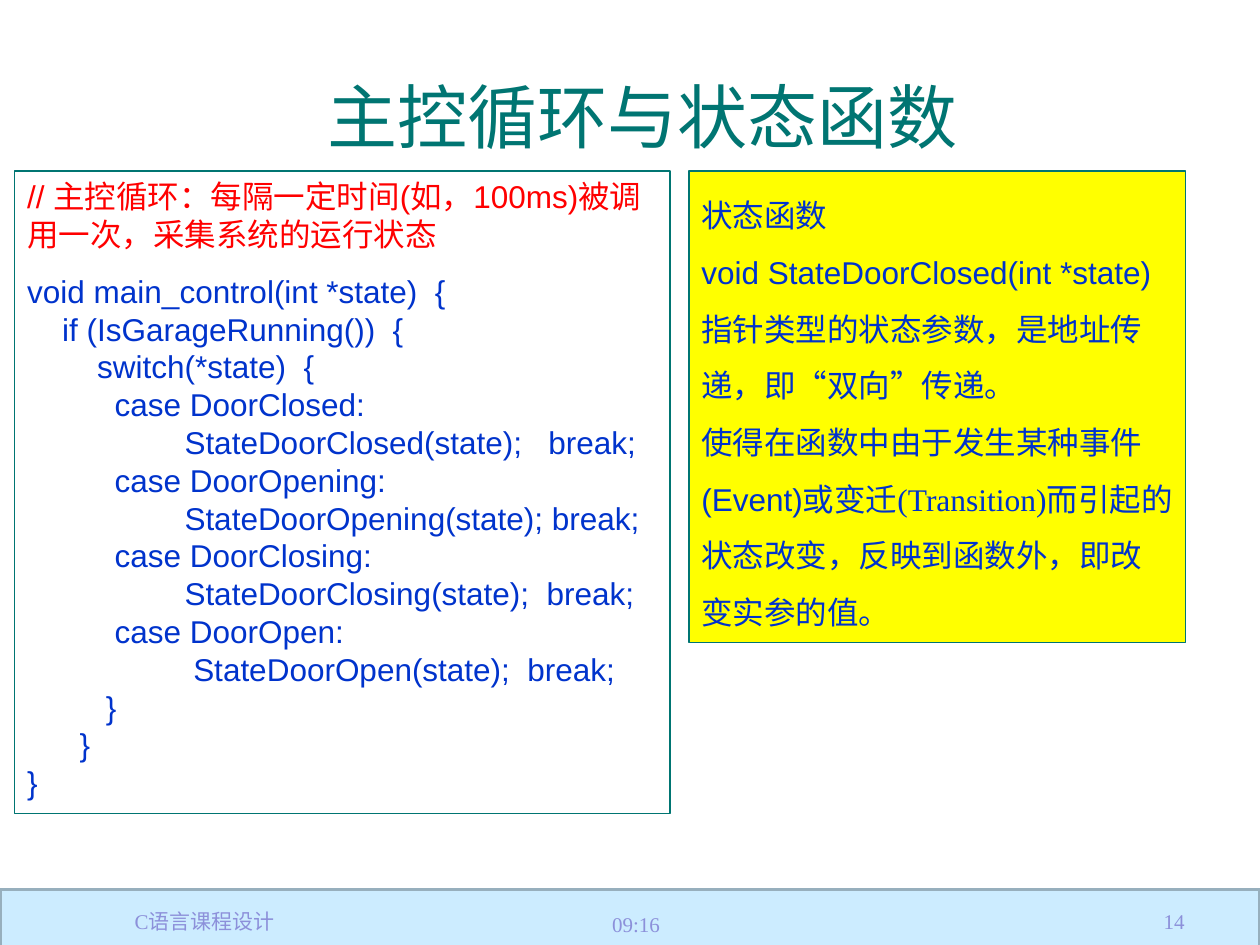
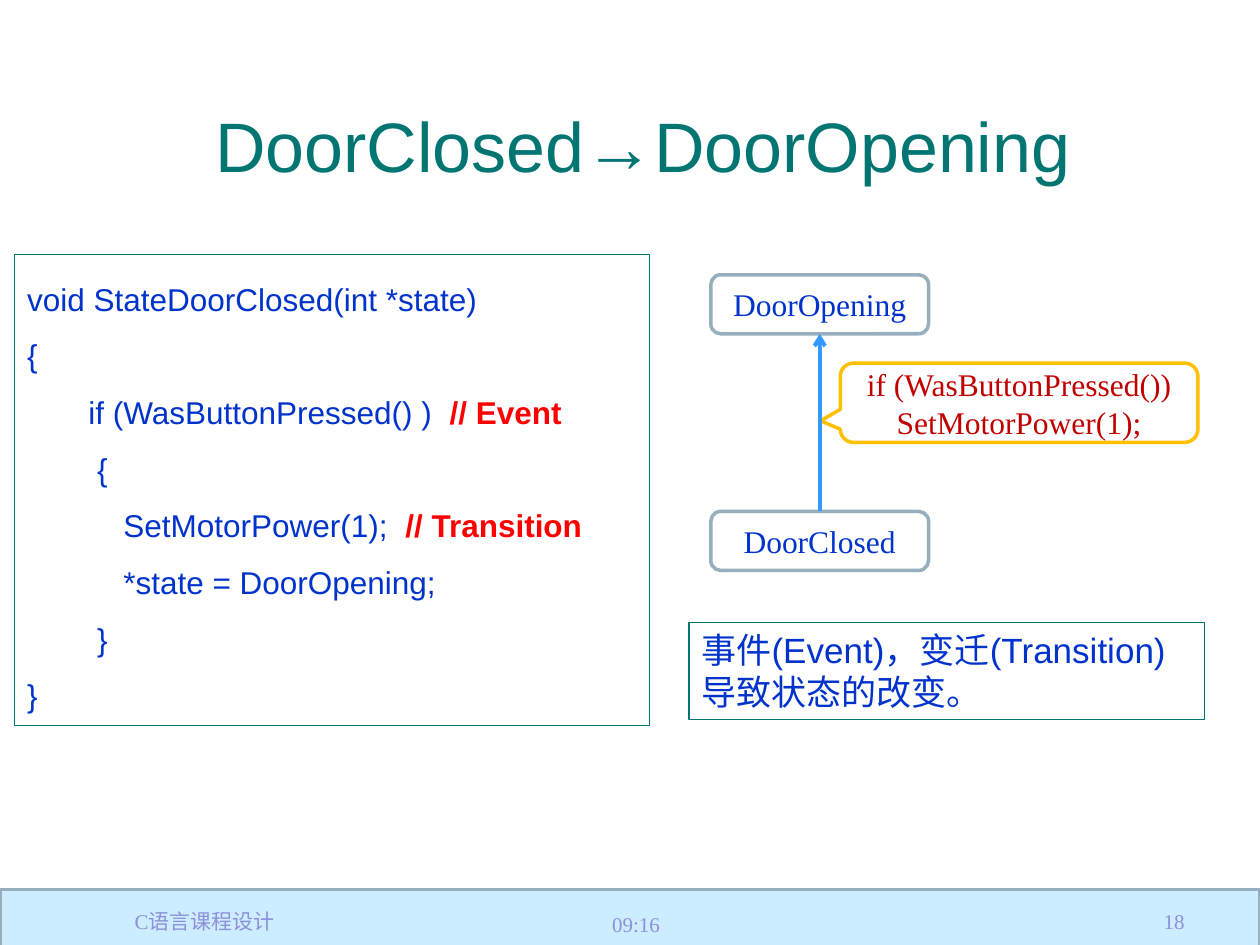
from lxml.etree import SubElement as Sub
from pptx import Presentation
from pptx.dml.color import RGBColor
from pptx.enum.shapes import MSO_CONNECTOR as Link, MSO_SHAPE as Kind
from pptx.enum.text import MSO_ANCHOR as Anchor, PP_ALIGN as Align
from pptx.oxml.ns import qn
from pptx.util import Cm, Pt

# Shared style
TEAL, BLUE, RED = "007572", "0033CC", "FF0000"
GREY, SKY, PALE = "97AFBD", "CCECFF", "8C90DA"
SANS, SERIF = "Arial", "Times New Roman"
LEFT, RIGHT = 0.3, 13.89


def rgb(code):
    return RGBColor.from_string(code)


def put(para, text, font=SANS, size=18, color=BLUE, bold=False):
    """Add one formatted run to a paragraph."""
    run = para.add_run()
    run.text = text
    run.font.name = font
    run.font.size = Pt(size)
    run.font.bold = bold
    run.font.color.rgb = rgb(color)


class Deck:
    def __init__(self):
        self.prs = Presentation()
        self.prs.slide_width, self.prs.slide_height = Cm(25.4), Cm(19.05)
        self.slide = None

    def page(self, title, top, number):
        """Start a slide with its band, title and footers."""
        self.slide = self.prs.slides.add_slide(self.prs.slide_layouts[6])
        self.box((0, 17.93, 25.4, 1.19), GREY, 2, fill=SKY)
        self.label((0.99, top, 23.93, 2.77), title, Align.CENTER,
                   size=40, color=TEAL)
        foot = {"font": SERIF, "size": 12, "color": PALE}
        self.label((18.21, 18.06, 5.92, 1.02), number, Align.RIGHT, **foot)
        self.label((0.1, 18.06, 8.05, 1.02), "C语言课程设计", Align.CENTER, **foot)
        self.label((12.09, 18.11, 5.92, 1.02), "09:16", **foot)

    def fill(self, shape, lines, align=Align.LEFT, anchor=Anchor.TOP,
             space=None, **form):
        """Write lines; a line is a string or a list of (text, format)."""
        frame = shape.text_frame
        frame.word_wrap = True
        frame.vertical_anchor = anchor
        for i, line in enumerate(lines):
            para = frame.add_paragraph() if i else frame.paragraphs[0]
            para.alignment = align
            if space:
                para.line_spacing = space
            for text, own in [(line, {})] if isinstance(line, str) else line:
                put(para, text, **{**form, **own})

    def label(self, area, text, align=Align.LEFT, **form):
        shape = self.slide.shapes.add_textbox(*map(Cm, area))
        self.fill(shape, [text], align, Anchor.MIDDLE, **form)

    def box(self, area, line=TEAL, width=0.75, kind=Kind.RECTANGLE, fill=None):
        shape = self.slide.shapes.add_shape(kind, *map(Cm, area))
        shape.shadow.inherit = False
        shape.line.color.rgb = rgb(line)
        shape.line.width = Pt(width)
        if fill:
            shape.fill.solid()
            shape.fill.fore_color.rgb = rgb(fill)
        else:
            shape.fill.background()
        return shape

    def panel(self, area, lines, fill=None, **form):
        shape = self.box(area, fill=fill)
        self.fill(shape, lines, **form)
        return shape

    def state(self, top, name):
        shape = self.box((14.33, top, 4.39, 1.19), GREY, 2, Kind.ROUNDED_RECTANGLE)
        self.fill(shape, [name], Align.CENTER, Anchor.MIDDLE, font=SERIF)
        return shape

    def arrow(self, start, end):
        """Join the top of one shape to the bottom of another."""
        link = self.slide.shapes.add_connector(Link.STRAIGHT, 0, 0, 0, 0)
        link.begin_connect(start, 0)
        link.end_connect(end, 2)
        link.line.color.rgb = rgb("3399FF")
        link.line.width = Pt(2.25)
        Sub(link.line._get_or_add_ln(), qn("a:tailEnd"), type="arrow")
        Sub(link._element.spPr, qn("a:effectLst"))

    def bubble(self, area, lines):
        shape = self.box(area, "FFC000", 2, Kind.ROUNDED_RECTANGULAR_CALLOUT)
        for i, value in enumerate((-0.555, 0.228, 0.167)):
            shape.adjustments[i] = value
        self.fill(shape, lines, Align.CENTER, Anchor.MIDDLE,
                  font=SERIF, color="C00000")


def loop(deck):
    deck.page("主控循环与状态函数", 0.94, "14")

    # State function notes
    deck.panel((RIGHT, 3.45, 10.01, 9.5), [
        "状态函数",
        "void StateDoorClosed(int *state)",
        "指针类型的状态参数，是地址传递，即“双向”传递。",
        [("使得在函数中由于发生某种事件(Event)或", {}),
         ("变迁(Transition)而引起的状态改变，反映到函数外，即改变实参的值。",
          {"font": SERIF})],
    ], fill="FFFF00", space=1.5)

    # Main loop code
    code = deck.panel((LEFT, 3.45, 13.21, 12.95), [
        [("// 主控循环：每隔一定时间(如，100ms)被调用一次，采集系统的运行状态",
          {"color": RED})],
        "void main_control(int *state)  {",
        "    if (IsGarageRunning())  {",
        "        switch(*state)  {",
        "          case DoorClosed:",
        "                  StateDoorClosed(state);   break;",
        "          case DoorOpening:",
        "                  StateDoorOpening(state); break;",
        "          case DoorClosing:",
        "                  StateDoorClosing(state);  break;",
        "          case DoorOpen:",
        "                   StateDoorOpen(state);  break;",
        "         }",
        "      }",
        "}",
    ])
    code.text_frame.paragraphs[1].line_spacing = 1.5


def change(deck):
    deck.page("DoorClosed→DoorOpening", 1.52, "18")

    # State function code
    mark = {"color": RED, "bold": True}
    deck.panel((LEFT, 5.13, 12.8, 9.5), [
        "void StateDoorClosed(int *state)",
        "{",
        [("       if (WasButtonPressed() )  ", {}), ("// Event", mark)],
        "        {",
        [("           SetMotorPower(1);  ", {}), ("// Transition", mark)],
        "           *state = DoorOpening;",
        "        }",
        "}",
    ], space=1.5)

    # Summary
    deck.panel((RIGHT, 12.55, 10.39, 1.96),
               ["事件(Event)，变迁(Transition)", "导致状态的改变。"], size=20)

    # State diagram
    goal = deck.state(5.54, "DoorOpening")
    start = deck.state(10.31, "DoorClosed")
    deck.bubble((16.94, 7.32, 7.21, 1.6),
                ["if (WasButtonPressed())", "SetMotorPower(1);"])
    deck.arrow(start, goal)


def main():
    deck = Deck()
    loop(deck)
    change(deck)
    deck.prs.save("out.pptx")


if __name__ == "__main__":
    main()
